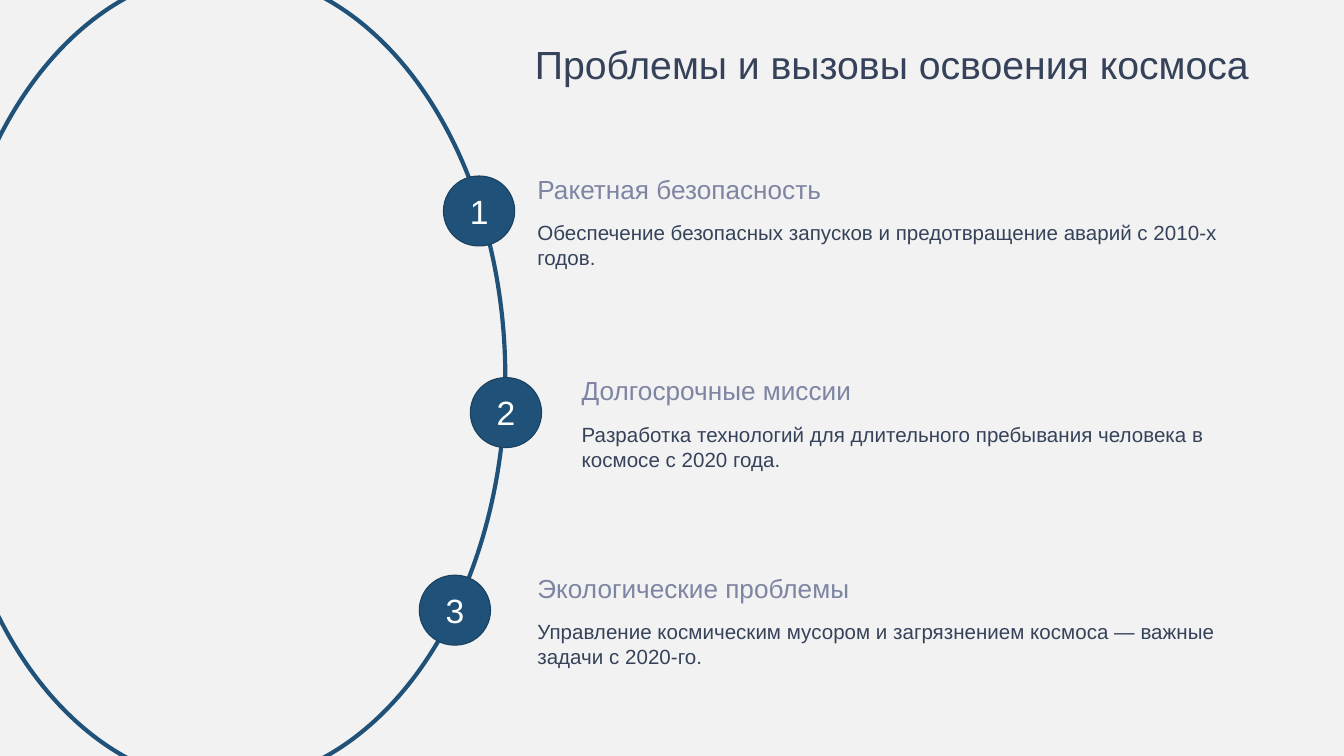
from dataclasses import dataclass

from pptx import Presentation
from pptx.dml.color import RGBColor
from pptx.enum.shapes import MSO_SHAPE
from pptx.enum.text import MSO_ANCHOR, MSO_AUTO_SIZE, PP_ALIGN
from pptx.util import Inches, Pt

OVAL, PILL = MSO_SHAPE.OVAL, MSO_SHAPE.ROUNDED_RECTANGLE
TOP, BOTTOM = MSO_ANCHOR.TOP, MSO_ANCHOR.BOTTOM
LEFT, CENTER = PP_ALIGN.LEFT, PP_ALIGN.CENTER
NO_FIT = MSO_AUTO_SIZE.NONE
TITLE_ONLY = 5


@dataclass(frozen=True)
class Theme:
    font: str = "Arial"
    background: str = "F2F2F2"
    accent: str = "205279"
    accent_edge: str = "1A4260"
    heading: str = "7D85A3"
    text: str = "354259"
    on_accent: str = "FFFFFF"
    title_size: float = 21
    number_size: float = 18
    heading_size: float = 14
    body_size: float = 11


THEME = Theme()
RIGHT_EDGE = 9.42
BADGE_W, BADGE_H, NUMBER_H = 0.53, 0.52, 0.4
HEADING_H, BODY_H = 0.6, 0.56
BODY_OFFSET = 0.62
BADGE_OFFSET = 0.34

# badge left, text left, top, heading, body
PROBLEMS = [
    (3.3, 3.9, 0.97, "Ракетная безопасность",
     "Обеспечение безопасных запусков и предотвращение аварий с 2010-х годов."),
    (3.5, 4.23, 2.47, "Долгосрочные миссии",
     "Разработка технологий для длительного пребывания человека в космосе с 2020 года."),
    (3.12, 3.9, 3.94, "Экологические проблемы",
     "Управление космическим мусором и загрязнением космоса — важные задачи с 2020-го."),
]


def rgb(value):
    return RGBColor.from_string(value)


def write(sp, text, size, color, anchor=TOP, align=LEFT):
    tf = sp.text_frame
    tf.word_wrap = True
    tf.auto_size = NO_FIT
    tf.vertical_anchor = anchor
    p = tf.paragraphs[0]
    p.alignment = align
    r = p.add_run()
    r.text = text
    r.font.name = THEME.font
    r.font.size = Pt(size)
    r.font.color.rgb = rgb(color)


def add_outlined(parent, kind, box, line, width):
    sp = parent.shapes.add_shape(kind, *map(Inches, box))
    sp.shadow.inherit = False
    sp.fill.background()
    sp.line.color.rgb = rgb(line)
    sp.line.width = Pt(width)
    return sp


def add_text(parent, box, *args):
    write(parent.shapes.add_textbox(*map(Inches, box)), *args)


def add_title(s, box, text):
    sp = s.shapes.title
    sp.left, sp.top, sp.width, sp.height = map(Inches, box)
    write(sp, text, THEME.title_size, THEME.text)


def add_badge(s, left, top, number):
    badge = s.shapes.add_group_shape()
    sp = add_outlined(badge, PILL, (left, top, BADGE_W, BADGE_H), THEME.accent_edge, 0.6)
    sp.adjustments[0] = 0.5
    sp.fill.solid()
    sp.fill.fore_color.rgb = rgb(THEME.accent)
    number_top = top + (BADGE_H - NUMBER_H) / 2
    add_text(badge, (left, number_top, BADGE_W, NUMBER_H), str(number),
             THEME.number_size, THEME.on_accent, TOP, CENTER)


def add_problem(s, number, badge_left, left, top, heading, body):
    width = RIGHT_EDGE - left
    add_badge(s, badge_left, top + BADGE_OFFSET, number)
    add_text(s, (left, top, width, HEADING_H), heading,
             THEME.heading_size, THEME.heading, BOTTOM)
    add_text(s, (left, top + BODY_OFFSET, width, BODY_H), body,
             THEME.body_size, THEME.text)


def main():
    prs = Presentation()
    prs.slide_width = Inches(10)
    prs.slide_height = prs.slide_width * 9 // 16
    s = prs.slides.add_slide(prs.slide_layouts[TITLE_ONLY])
    s.background.fill.solid()
    s.background.fill.fore_color.rgb = rgb(THEME.background)

    add_outlined(s, OVAL, (-0.41, -0.21, 4.17, 6.04), THEME.accent, 2.25)
    for number, problem in enumerate(PROBLEMS, start=1):
        add_problem(s, number, *problem)
    add_title(s, (3.88, 0.25, 5.62, 1), "Проблемы и вызовы освоения космоса")
    prs.save("out.pptx")


if __name__ == "__main__":
    main()
